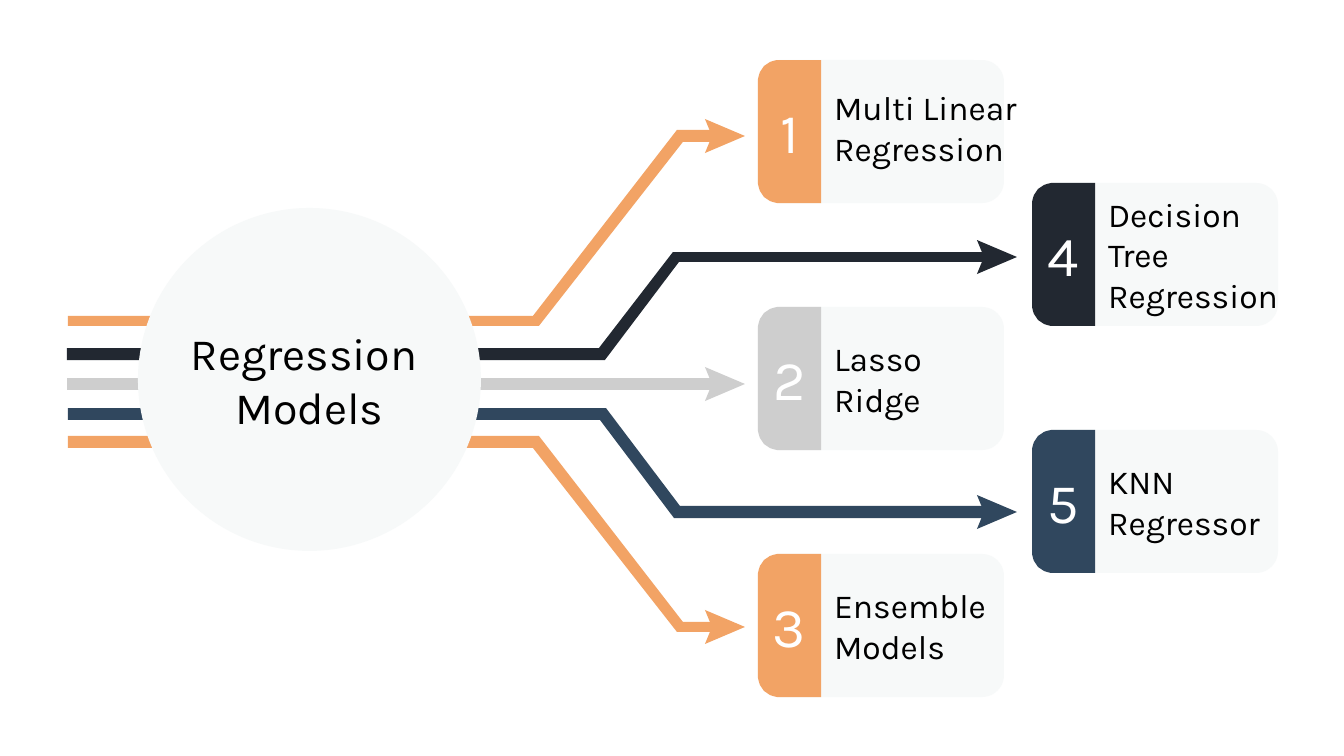
import math

import pptx
import pptx.dml.color
import pptx.enum.shapes
import pptx.enum.text
import pptx.util

PX = 914400 / 134.4
FONT = "Karla"
COLORS = {
    "orange": "F2A365", "ink": "222831", "grey": "CECECE", "navy": "30475E",
    "panel": "F7F9F9", "black": "000000", "white": "FFFFFF",
}
ALIGN = pptx.enum.text.PP_ALIGN
SHAPE = pptx.enum.shapes.MSO_SHAPE


def emu(*lengths):
    """Turn px lengths into EMU."""
    return [pptx.util.Emu(round(length * PX)) for length in lengths]


def rgb(color):
    """Look up a named colour."""
    return pptx.dml.color.RGBColor.from_string(COLORS[color])


def paint(shape, color):
    """Give a shape a flat fill without line or shadow."""
    shape.shadow.inherit = False
    shape.fill.solid()
    shape.fill.fore_color.rgb = rgb(color)
    shape.line.fill.background()
    return shape


def outline(slide, points, color):
    """Draw a closed, filled polygon."""
    builder = slide.shapes.build_freeform(*points[0], scale=PX)
    builder.add_line_segments(points[1:], close=True)
    return paint(builder.convert_to_shape(), color)


def write(shape, paragraphs, size, color, align, inset=13):
    """Fill a shape with vertically centred text; a newline is a line break."""
    frame = shape.text_frame
    frame.word_wrap = True
    frame.vertical_anchor = pptx.enum.text.MSO_ANCHOR.MIDDLE
    frame.margin_left, frame.margin_top, frame.margin_right, frame.margin_bottom = emu(*[inset] * 4)
    for index, text in enumerate(paragraphs):
        paragraph = frame.add_paragraph() if index else frame.paragraphs[0]
        paragraph.alignment = align
        for number, line in enumerate(text.split("\n")):
            if number:
                paragraph.add_line_break()
            run = paragraph.add_run()
            run.text = line
            run.font.name = FONT
            run.font.size = pptx.util.Pt(size)
            run.font.color.rgb = rgb(color)


def add_route(slide, left, start_y, tip, end_y, bends, color):
    """Draw a band from left to an arrowhead, stepping between two heights."""
    half = 5.5
    skew = math.copysign(3, end_y - start_y)
    stem_end = tip - 27
    centre = [(left, start_y)]
    if bends:
        centre += [(bends[0], start_y), (bends[1], end_y)]
    centre.append((stem_end, end_y))

    def edge(side):
        """Shift the centre line up (-1) or down (1), keeping the mitres."""
        last = len(centre) - 1
        return [(x - side * skew * (0 < i < last), y + side * half)
                for i, (x, y) in enumerate(centre)]

    outline(slide, edge(-1) + edge(1)[::-1], color)
    head = [(tip - 40, end_y - 17), (tip - 33, end_y), (tip - 40, end_y + 17), (tip, end_y)]
    outline(slide, head, color)


def add_hub(slide, left, top, size):
    """Draw the central circle with the topic."""
    hub = paint(slide.shapes.add_shape(SHAPE.OVAL, *emu(left, top, size, size)), "panel")
    write(hub, ["Regression ", "Models"], 24, "black", ALIGN.CENTER, inset=0)


def add_card(slide, left, top, number, label, color, label_width=210, label_shift=0):
    """Draw a rounded panel with a numbered badge and a label."""
    width, height, badge_width, radius = 246, 143, 63, 22
    panel = slide.shapes.add_shape(SHAPE.ROUNDED_RECTANGLE, *emu(left, top, width, height))
    panel.adjustments[0] = radius / height
    paint(panel, "panel")

    def corner(centre_y, first_angle):
        """List the points of a quarter circle."""
        angles = [math.radians(first_angle + step * 9) for step in range(11)]
        return [(left + radius + radius * math.cos(a), centre_y + radius * math.sin(a))
                for a in angles]

    right, bottom = left + badge_width, top + height
    points = [(right, top), (right, bottom)]
    points += corner(bottom - radius, 90) + corner(top + radius, 180)
    badge = outline(slide, points, color)
    write(badge, [str(number)], 30, "white", ALIGN.CENTER)

    caption = slide.shapes.add_textbox(*emu(right, top + label_shift, label_width, height))
    write(caption, [label], 18, "black", ALIGN.LEFT)


def main():
    """Build the slide."""
    deck = pptx.Presentation()
    deck.slide_width, deck.slide_height = emu(1344, 756)
    slide = deck.slides.add_slide(deck.slide_layouts[6])

    near_tip, far_tip = 745, 1017
    add_route(slide, 67, 384, near_tip, 384, None, "grey")
    add_route(slide, 68, 321, near_tip, 136, (536, 680), "orange")
    add_route(slide, 67, 354, far_tip, 257, (602, 676), "ink")
    add_route(slide, 68, 414, far_tip, 512, (603, 677), "navy")
    add_route(slide, 68, 442, near_tip, 627, (536, 680), "orange")
    add_hub(slide, 138, 208, 343)

    near, far, top, pitch = 758, 1032, 60, 247
    add_card(slide, near, top, 1, "Multi Linear Regression", "orange", 239, -4)
    add_card(slide, near, top + pitch, 2, "Lasso\nRidge", "grey")
    add_card(slide, near, top + 2 * pitch, 3, "Ensemble Models", "orange")
    add_card(slide, far, top + pitch // 2, 4, "Decision Tree Regression", "ink")
    add_card(slide, far, top + 3 * pitch // 2, 5, "KNN Regressor", "navy")

    deck.save("out.pptx")


if __name__ == "__main__":
    main()
